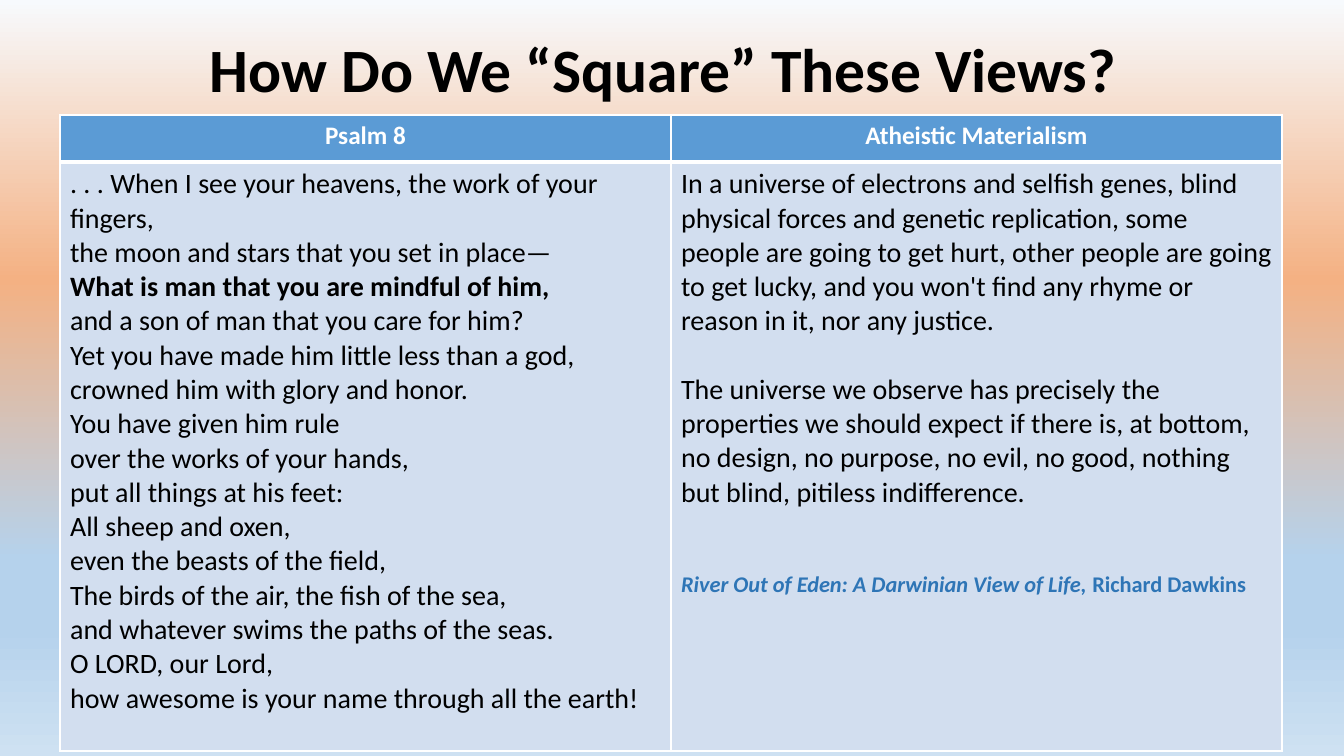
from lxml import etree
from pptx import Presentation
from pptx.dml.color import RGBColor
from pptx.enum.text import MSO_ANCHOR, PP_ALIGN
from pptx.oxml.ns import qn
from pptx.util import Pt

MIDDLE = MSO_ANCHOR.MIDDLE
CENTER = PP_ALIGN.CENTER
LEFT = PP_ALIGN.LEFT

BLACK = RGBColor(0x00, 0x00, 0x00)
WHITE = RGBColor(0xFF, 0xFF, 0xFF)
BLUE = RGBColor(0x5B, 0x9B, 0xD5)
PALE = RGBColor(0xD2, 0xDE, 0xEF)
DEEP = RGBColor(0x2E, 0x75, 0xB6)
MIST = RGBColor(0xF7, 0xFA, 0xFD)
PEACH = RGBColor(0xF4, 0xB1, 0x83)
SKY = RGBColor(0xB5, 0xD2, 0xEC)
HAZE = RGBColor(0xCE, 0xE1, 0xF2)

STOPS = [(0, MIST), (37, PEACH), (74, SKY), (83, SKY), (100, HAZE)]
FONT = "Calibri"
HEADS = ["Psalm 8", "Atheistic Materialism"]
KEY = "What is man that you are mindful of him,"
PSALM = [
    ". . . When I see your heavens, the work of your fingers,",
    "the moon and stars that you set in place—",
    KEY,
    "and a son of man that you care for him?",
    "Yet you have made him little less than a god, crowned him with glory and honor.",
    "You have given him rule",
    "over the works of your hands,",
    "put all things at his feet:",
    "All sheep and oxen,",
    "even the beasts of the field,",
    "The birds of the air, the fish of the sea,",
    "and whatever swims the paths of the seas.",
    "O LORD, our Lord,",
    "how awesome is your name through all the earth!",
]
CLAIMS = [
    "In a universe of electrons and selfish genes, blind physical forces and "
    "genetic replication, some people are going to get hurt, other people are "
    "going to get lucky, and you won't find any rhyme or reason in it, nor any justice.",
    "The universe we observe has precisely the properties we should expect if "
    "there is, at bottom, no design, no purpose, no evil, no good, nothing but "
    "blind, pitiless indifference.",
]
BOOK = "River Out of Eden: A Darwinian View of Life, "
AUTHOR = "Richard Dawkins"


def px(n):
    return round(n * 914400 / 100.8)


def add_run(para, text, size, color, bold=False, slant=False):
    run = para.add_run()
    run.text = text
    font = run.font
    font.name, font.size = FONT, Pt(size)
    font.bold, font.italic = bold, slant
    font.color.rgb = color


def add_para(frame, align=LEFT, gap=0):
    para = frame.paragraphs[0]
    if para.runs:
        para = frame.add_paragraph()
    para.alignment = align
    para.space_before = Pt(gap)
    return para


def paint_back(slide):
    fill = slide.background.fill
    fill.gradient()
    fill.gradient_angle = 270
    stops = slide.background._cSld.find(".//" + qn("a:gsLst"))
    for old in list(stops):
        stops.remove(old)
    for place, color in STOPS:
        stop = etree.SubElement(stops, qn("a:gs"), pos=str(place * 1000))
        etree.SubElement(stop, qn("a:srgbClr"), val=str(color))


def add_title(slide, x, y, w, h):
    box = slide.shapes.add_textbox(px(x), px(y), px(w), px(h))
    frame = box.text_frame
    frame.word_wrap = True
    frame.vertical_anchor = MIDDLE
    para = add_para(frame, CENTER)
    para.line_spacing = 0.9
    add_run(para, "How Do We “Square” These Views? ", 44, BLACK, True)


def style_cell(cell, color, top, base):
    props = cell._tc.get_or_add_tcPr()
    for side, width in (("L", 1), ("R", 1), ("T", top), ("B", base)):
        line = etree.SubElement(props, qn("a:ln" + side), w=str(Pt(width)))
        fill = etree.SubElement(line, qn("a:solidFill"))
        etree.SubElement(fill, qn("a:srgbClr"), val=str(WHITE))
    cell.fill.solid()
    cell.fill.fore_color.rgb = color


def fill_psalm(frame):
    for verse in PSALM:
        add_run(add_para(frame), verse, 20, BLACK, verse == KEY)


def fill_claims(frame):
    for i, claim in enumerate(CLAIMS):
        add_run(add_para(frame, gap=24.4 * i), claim, 20, BLACK)
    credit = add_para(frame, gap=44)
    add_run(credit, BOOK, 16, DEEP, True, True)
    add_run(credit, AUTHOR, 16, DEEP, True)


def add_views(slide, x, y, w, h, head):
    table = slide.shapes.add_table(2, 2, px(x), px(y), px(w), px(h)).table
    table.rows[0].height = px(head)
    table.rows[1].height = px(h - head)
    for col, (name, write) in enumerate(zip(HEADS, (fill_psalm, fill_claims))):
        table.columns[col].width = px(w / 2)
        top, body = table.cell(0, col), table.cell(1, col)
        style_cell(top, BLUE, 1, 3)
        style_cell(body, PALE, 3, 1)
        add_run(add_para(top.text_frame, CENTER), name, 18, WHITE, True)
        write(body.text_frame)


def main():
    deck = Presentation()
    deck.slide_width, deck.slide_height = px(1344), px(756)
    slide = deck.slides.add_slide(deck.slide_layouts[6])
    paint_back(slide)
    add_title(slide, 91, 0, 1159, 146)
    add_views(slide, 60, 115, 1222, 636, 47)
    deck.save("out.pptx")


if __name__ == "__main__":
    main()
